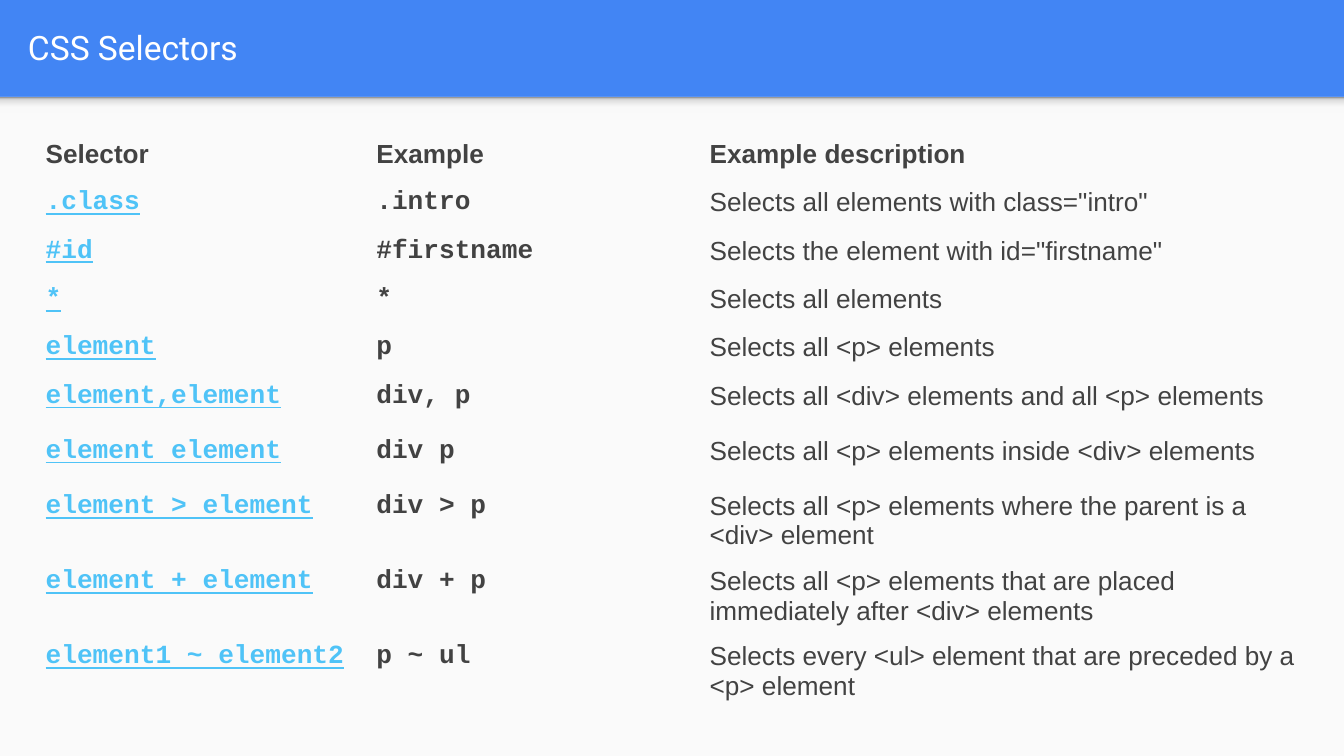
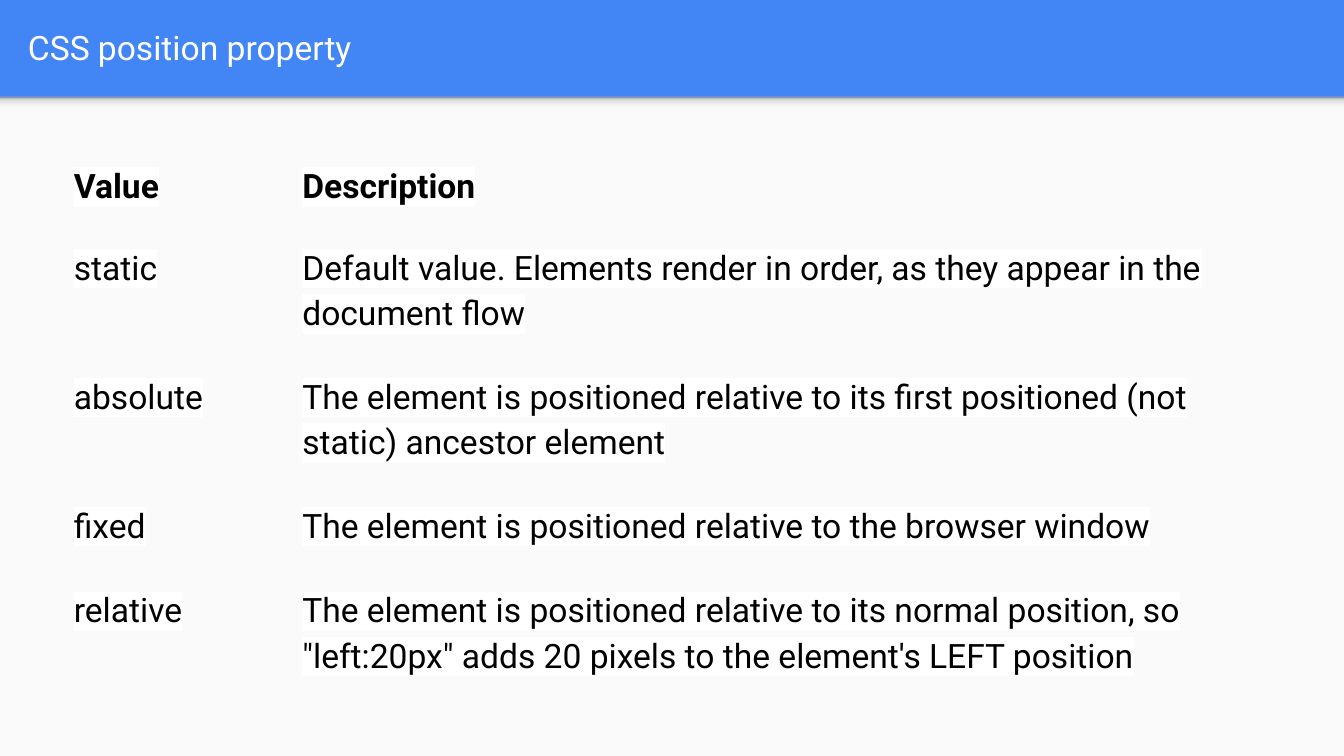
from dataclasses import dataclass

from lxml import etree
from pptx import Presentation
from pptx import util as u
from pptx.dml.color import RGBColor
from pptx.enum import shapes, text
from pptx.oxml import ns

SELECTORS = [
    ("Selector", "Example", "Example description"),
    (".class", ".intro", 'Selects all elements with class="intro"'),
    ("#id", "#firstname", 'Selects the element with id="firstname"'),
    ("*", "*", "Selects all elements"),
    ("element", "p", "Selects all <p> elements"),
    ("element,element", "div, p", "Selects all <div> elements and all <p> elements"),
    ("element element", "div p", "Selects all <p> elements inside <div> elements"),
    ("element > element", "div > p",
     "Selects all <p> elements where the parent is a <div> element"),
    ("element + element", "div + p",
     "Selects all <p> elements that are placed immediately after <div> elements"),
    ("element1 ~ element2", "p ~ ul",
     "Selects every <ul> element that are preceded by a <p> element"),
]
POSITIONS = [
    ("Value", "Description"),
    ("static", "Default value. Elements render in order, as they appear in the document flow"),
    ("absolute",
     "The element is positioned relative to its first positioned (not static) ancestor element"),
    ("fixed", "The element is positioned relative to the browser window"),
    ("relative", "The element is positioned relative to its normal position, "
                 'so "left:20px" adds 20 pixels to the element\'s LEFT position'),
]


@dataclass(frozen=True)
class Theme:
    header: str = "4285F4"
    body: str = "FAFAFA"
    white: str = "FFFFFF"
    black: str = "000000"
    gray: str = "424242"
    link: str = "4FC3F7"
    shadow_stops: tuple = ((0, "F9F9F9"), (36, "F9F9F9"), (80, "DEDEDE"), (100, "999999"))
    title_font: str = "Roboto"
    text_font: str = "Arial"
    code_font: str = "Courier New"
    large: int = 18
    small: int = 14


THEME = Theme()
WIDTH = 10
HEIGHT = WIDTH * 9 / 16
HEADER_HEIGHT = 0.72
NO_TABLE_STYLE = "{2D5ABB26-0587-4C30-8999-92F81FD0307C}"


@dataclass(frozen=True)
class TextStyle:
    font: str
    size: int
    color: str
    bold: bool = False
    underline: bool = False
    highlight: str = ""


TITLE = TextStyle(THEME.title_font, THEME.large, THEME.white)
SELECTOR_HEADING = TextStyle(THEME.text_font, THEME.small, THEME.gray, bold=True)
SELECTOR_COLUMNS = [
    TextStyle(THEME.code_font, THEME.small, THEME.link, bold=True, underline=True),
    TextStyle(THEME.code_font, THEME.small, THEME.gray, bold=True),
    TextStyle(THEME.text_font, THEME.small, THEME.gray),
]
POSITION_HEADING = TextStyle(THEME.title_font, THEME.large, THEME.black, True,
                             highlight=THEME.white)
POSITION_TEXT = TextStyle(THEME.title_font, THEME.large, THEME.black, highlight=THEME.white)


def rgb(color):
    return RGBColor.from_string(color)


def add_color(parent, color):
    return etree.SubElement(parent, ns.qn("a:srgbClr"), val=color)


def write(text_frame, words, style, line_spacing=None):
    text_frame.text = words
    paragraph = text_frame.paragraphs[0]
    paragraph.line_spacing = line_spacing
    for run in paragraph.runs:
        font = run.font
        font.name, font.size = style.font, u.Pt(style.size)
        font.bold, font.underline = style.bold, style.underline
        font.color.rgb = rgb(style.color)
        if style.highlight:
            highlight = etree.Element(ns.qn("a:highlight"))
            add_color(highlight, style.highlight)
            font._element.find(ns.qn("a:solidFill")).addnext(highlight)


def add_band(slide, top, height):
    band = slide.shapes.add_shape(shapes.MSO_SHAPE.RECTANGLE, 0, u.Inches(top),
                                  u.Inches(WIDTH), u.Inches(height))
    band.shadow.inherit = False
    band.line.fill.background()
    band.fill.solid()
    band.fill.fore_color.rgb = rgb(THEME.body)
    return band


def fade_upward(band):
    """Replace the band's solid fill by the header's drop-shadow gradient."""
    properties = band._element.spPr
    gradient = etree.Element(ns.qn("a:gradFill"), rotWithShape="1")
    stops = etree.SubElement(gradient, ns.qn("a:gsLst"))
    for percent, color in THEME.shadow_stops:
        add_color(etree.SubElement(stops, ns.qn("a:gs"), pos=str(percent * 1000)), color)
    etree.SubElement(gradient, ns.qn("a:lin"), ang=str(270 * 60000), scaled="0")
    properties.replace(properties.find(ns.qn("a:solidFill")), gradient)


def add_titled_slide(presentation, title):
    slide = presentation.slides.add_slide(presentation.slide_layouts[6])
    slide.background.fill.solid()
    slide.background.fill.fore_color.rgb = rgb(THEME.header)
    add_band(slide, HEADER_HEIGHT, HEIGHT - HEADER_HEIGHT)
    fade_upward(add_band(slide, HEADER_HEIGHT, 0.12))
    frame = slide.shapes.add_textbox(u.Inches(0.11), u.Inches(0.02),
                                     u.Inches(9.65), u.Inches(0.66)).text_frame
    frame.word_wrap = True
    frame.vertical_anchor = text.MSO_ANCHOR.MIDDLE
    frame.margin_left = frame.margin_right = u.Inches(0.1)
    frame.margin_top = frame.margin_bottom = u.Inches(0.1)
    write(frame, title, TITLE)
    return slide


def add_grid(slide, left, top, widths, heights, rows, heading, columns,
             padding=0, line_spacing=None):
    """Add a borderless table; the first row takes the heading style."""
    frame = slide.shapes.add_table(len(rows), len(widths), u.Inches(left), u.Inches(top),
                                   u.Inches(sum(widths)), u.Inches(sum(heights)))
    table = frame.table
    table.first_row = table.horz_banding = False
    table._tbl.tblPr.find(ns.qn("a:tableStyleId")).text = NO_TABLE_STYLE
    for column, width in zip(table.columns, widths):
        column.width = u.Inches(width)
    for row_index, (values, height) in enumerate(zip(rows, heights)):
        table.rows[row_index].height = u.Inches(height)
        for column_index, value in enumerate(values):
            cell = table.cell(row_index, column_index)
            cell.margin_left = u.Inches(0.08 if column_index else 0.17)
            cell.margin_right = u.Inches(0.08)
            cell.margin_top = cell.margin_bottom = u.Inches(padding)
            cell.fill.solid()
            cell.fill.fore_color.rgb = rgb(THEME.white)
            white = cell._tc.tcPr.find(ns.qn("a:solidFill"))[0]
            etree.SubElement(white, ns.qn("a:alpha"), val="0")
            style = columns[column_index] if row_index else heading
            write(cell.text_frame, value, style, line_spacing)


def main():
    presentation = Presentation()
    presentation.slide_width = u.Inches(WIDTH)
    presentation.slide_height = u.Inches(HEIGHT)

    slide = add_titled_slide(presentation, "CSS Selectors")
    add_grid(slide, 0.17, 1.04, [2.55, 2.48, 4.56], [0.36] * 5 + [0.41] * 2 + [0.56] * 3,
             SELECTORS, SELECTOR_HEADING, SELECTOR_COLUMNS)

    slide = add_titled_slide(presentation, "CSS position property")
    add_grid(slide, 0.38, 1.12, [1.79, 7.28], [0.61, 0.96, 0.96, 0.63, 0.96],
             POSITIONS, POSITION_HEADING, [POSITION_TEXT] * 2,
             padding=0.08, line_spacing=1.15)

    presentation.save("out.pptx")


if __name__ == "__main__":
    main()
